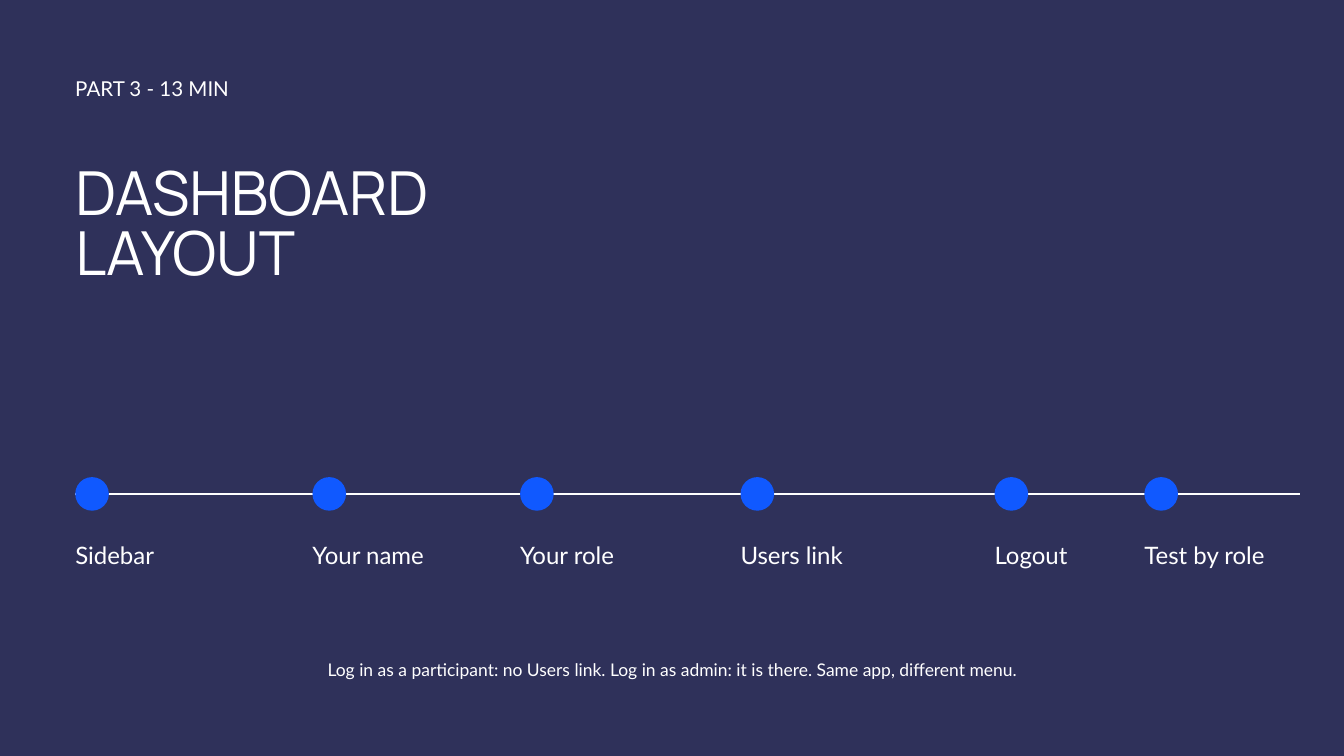
from dataclasses import dataclass

from lxml.etree import SubElement
from pptx import Presentation
from pptx.dml.color import RGBColor as Color
from pptx.enum.shapes import MSO_CONNECTOR as Link, MSO_SHAPE as Shape
from pptx.enum.text import PP_ALIGN as Align
from pptx.oxml.ns import qn
from pptx.util import Inches, Pt


@dataclass(frozen=True)
class Theme:
    back: Color = Color.from_string("2F315A")
    ink: Color = Color.from_string("FFFFFF")
    dot: Color = Color.from_string("1059FF")
    head: str = "Manrope"
    body: str = "Lato"
    title: float = 65
    label: float = 22
    step: float = 25.7
    note: float = 18.7


THEME = Theme()
LEFT = 1.12
AXIS = 7.35
DOT = 0.5
STEPS = [
    (LEFT, "Sidebar"),
    (4.65, "Your name"),
    (7.74, "Your role"),
    (11.02, "Users link"),
    (14.8, "Logout"),
    (17.03, "Test by role"),
]


def add_text(slide, box, text, size, lead, face=THEME.body, align=Align.LEFT):
    frame = slide.shapes.add_textbox(*map(Inches, box)).text_frame
    frame.word_wrap = True
    frame.margin_left = frame.margin_right = 0
    frame.margin_top = frame.margin_bottom = 0
    para = frame.paragraphs[0]
    para.text = text
    para.alignment = align
    para.line_spacing = Pt(lead)
    para.font.name = face
    para.font.size = Pt(size)
    para.font.color.rgb = THEME.ink


def add_line(slide, start, end, y):
    line = slide.shapes.add_connector(
        Link.STRAIGHT, Inches(start), Inches(y), Inches(end), Inches(y)
    )
    line.line.color.rgb = THEME.ink
    line.line.width = Pt(3)
    SubElement(line._element.spPr, qn("a:effectLst"))


def add_dot(slide, x):
    dot = slide.shapes.add_shape(
        Shape.OVAL, Inches(x), Inches(AXIS - DOT / 2), Inches(DOT), Inches(DOT)
    )
    dot.shadow.inherit = False
    dot.fill.solid()
    dot.fill.fore_color.rgb = THEME.dot
    dot.line.fill.background()


def add_step(slide, x, name):
    add_dot(slide, x)
    add_text(slide, (x, 8.07, 3.78, 0.41), name, THEME.step, 29)


def main():
    deck = Presentation()
    deck.slide_width = Inches(20)
    deck.slide_height = Inches(11.25)
    slide = deck.slides.add_slide(deck.slide_layouts[6])
    slide.background.fill.solid()
    slide.background.fill.fore_color.rgb = THEME.back

    add_line(slide, LEFT, 19.35, AXIS)
    for x, name in STEPS:
        add_step(slide, x, name)
    add_text(slide, (LEFT, 2.48, 5.55, 1.91), "DASHBOARD LAYOUT",
             THEME.title, 65, THEME.head)
    add_text(slide, (LEFT, 1.07, 3.43, 0.42), "PART 3 - 13 MIN",
             THEME.label, 30.8)
    add_text(slide, (3.74, 9.82, 12.53, 0.31),
             "Log in as a participant: no Users link. "
             "Log in as admin: it is there. Same app, different menu.",
             THEME.note, 21.1, align=Align.CENTER)
    deck.save("out.pptx")


if __name__ == "__main__":
    main()
